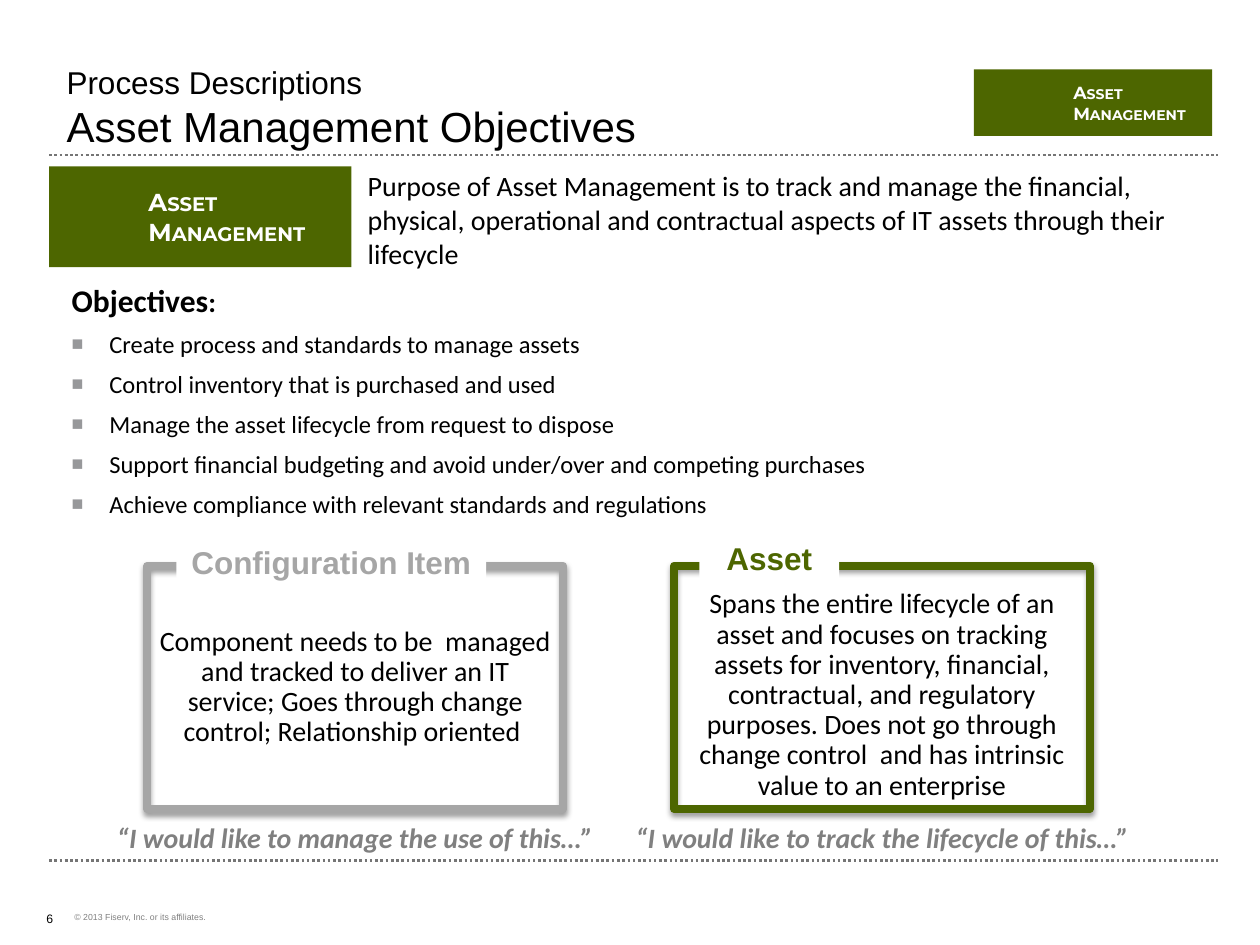
from lxml import etree
from pptx import Presentation
from pptx.dml.color import RGBColor
from pptx.enum.dml import MSO_LINE
from pptx.enum.shapes import MSO_CONNECTOR, MSO_SHAPE
from pptx.enum.text import MSO_ANCHOR, PP_ALIGN
from pptx.oxml.ns import qn
from pptx.util import Inches, Pt

GREEN, SILVER, GRAY = "4D6600", "A6A6A6", "808080"
BLACK, WHITE = "000000", "FFFFFF"
BULLET_INDENT = Inches(0.3)
DEFAULT_INSETS = (0.1, 0.05, 0.1, 0.05)

OBJECTIVES = [
    "Create process and standards to manage assets",
    "Control inventory that is purchased and used",
    "Manage the asset lifecycle from request to dispose",
    "Support financial budgeting and avoid under/over and competing purchases",
    "Achieve compliance with relevant standards and regulations",
]


def color(value):
    return RGBColor.from_string(value)


def add_run(paragraph, text, size, font="Calibri", fill=BLACK, bold=False, italic=False):
    run = paragraph.add_run()
    run.text = text
    run.font.size = Pt(size)
    run.font.name = font
    run.font.color.rgb = color(fill)
    run.font.bold = bold
    run.font.italic = italic
    return run


def set_frame(shape, anchor=MSO_ANCHOR.TOP, align=PP_ALIGN.LEFT, insets=DEFAULT_INSETS):
    """Prepare the text frame and return its first paragraph."""
    frame = shape.text_frame
    frame.word_wrap = True
    frame.vertical_anchor = anchor
    (frame.margin_left, frame.margin_top,
     frame.margin_right, frame.margin_bottom) = map(Inches, insets)
    paragraph = frame.paragraphs[0]
    paragraph.alignment = align
    return paragraph


def add_text(slide, box, **options):
    shape = slide.shapes.add_textbox(*map(Inches, box))
    return set_frame(shape, **options)


def add_rectangle(slide, box, fill=None, line=None, width=0.75):
    shape = slide.shapes.add_shape(MSO_SHAPE.RECTANGLE, *map(Inches, box))
    shape.shadow.inherit = False
    if fill:
        shape.fill.solid()
        shape.fill.fore_color.rgb = color(fill)
    else:
        shape.fill.background()
    if line:
        shape.line.color.rgb = color(line)
        shape.line.width = Pt(width)
    else:
        shape.line.fill.background()
    return shape


def add_shadow(shape):
    effects = shape._element.spPr.find(qn("a:effectLst"))
    shadow = etree.SubElement(effects, qn("a:outerShdw"), blurRad="40000",
                              dist="20000", dir="5400000", rotWithShape="0")
    tint = etree.SubElement(shadow, qn("a:srgbClr"), val=BLACK)
    etree.SubElement(tint, qn("a:alpha"), val="38000")


def add_rule(slide, y):
    rule = slide.shapes.add_connector(
        MSO_CONNECTOR.STRAIGHT, Inches(0.39), Inches(y), Inches(9.67), Inches(y))
    rule.line.color.rgb = color("757575")
    rule.line.width = Pt(1.5)
    rule.line.dash_style = MSO_LINE.ROUND_DOT
    etree.SubElement(rule._element.spPr, qn("a:effectLst"))


def add_badge(slide, box, size):
    paragraph = set_frame(add_rectangle(slide, box, fill=GREEN), MSO_ANCHOR.MIDDLE)
    paragraph._p.get_or_add_pPr().set("marL", str(Inches(0.69)))
    for index, word in enumerate(("Asset", "Management")):
        if index:
            paragraph.add_line_break()
        run = add_run(paragraph, word, size, "Montserrat", WHITE, bold=True)
        run.font._element.set("cap", "small")


def add_bullet(paragraph):
    properties = paragraph._p.get_or_add_pPr()
    properties.set("marL", str(BULLET_INDENT))
    properties.set("indent", str(-BULLET_INDENT))
    paragraph.space_before = Pt(6)
    bullet_color = etree.SubElement(properties, qn("a:buClr"))
    etree.SubElement(bullet_color, qn("a:srgbClr"), val="97989A")
    etree.SubElement(properties, qn("a:buSzPct"), val="80000")
    etree.SubElement(properties, qn("a:buFont"), typeface="Arial")
    etree.SubElement(properties, qn("a:buChar"), char="■")


def add_panel(slide, left, tone, text, top_inset, inner_line=None):
    box = (left, 4.49, 3.3, 1.93)
    frame = add_rectangle(slide, box, line=tone, width=4.5)
    etree.SubElement(frame.line._get_or_add_ln(), qn("a:round"))
    add_shadow(frame)
    body = add_rectangle(slide, box, line=inner_line)
    paragraph = set_frame(body, MSO_ANCHOR.MIDDLE, PP_ALIGN.CENTER,
                          (0.07, top_inset, 0.07, 0.07))
    paragraph.line_spacing = 0.9
    add_run(paragraph, text, 16)


def add_panel_title(slide, box, text, tone):
    label = add_rectangle(slide, box, fill=WHITE)
    paragraph = set_frame(label, MSO_ANCHOR.MIDDLE, PP_ALIGN.CENTER)
    add_run(paragraph, text, 18, "Arial", tone, bold=True)


def add_quote(slide, left, width, text):
    paragraph = add_text(slide, (left, 6.51, width, 0.27),
                         align=PP_ALIGN.CENTER, insets=(0, 0, 0, 0))
    add_run(paragraph, text, 16, fill=GRAY, bold=True, italic=True)


def add_footer(slide):
    paragraph = add_text(slide, (0.52, 7.22, 1.66, 0.14), insets=(0.07, 0.03, 0.07, 0.03))
    paragraph.line_spacing = 0.9
    add_run(paragraph, "© 2013 Fiserv, Inc. or its affiliates.", 5, "Arial", GRAY)
    add_run(add_text(slide, (0.27, 7.18, 0.59, 0.23)), "6", 7, "Arial")


def add_title(slide):
    paragraph = add_text(slide, (0.43, 0.4, 9.4, 0.9), anchor=MSO_ANCHOR.MIDDLE)
    add_run(paragraph, "Process Descriptions", 18, "Arial")
    paragraph.add_line_break()
    add_run(paragraph, "Asset Management Objectives", 24, "Arial")


def add_objectives(slide):
    shape = slide.shapes.add_textbox(*map(Inches, (0.47, 2.18, 9.46, 1.92)))
    heading = set_frame(shape)
    add_run(heading, "Objectives", 18, bold=True)
    add_run(heading, ":", 16, bold=True)
    for objective in OBJECTIVES:
        paragraph = shape.text_frame.add_paragraph()
        add_bullet(paragraph)
        add_run(paragraph, objective, 14)


def main():
    presentation = Presentation()
    presentation.slide_width = Inches(10)
    presentation.slide_height = Inches(7.5)
    slide = presentation.slides.add_slide(presentation.slide_layouts[6])

    # Page frame
    for y in (1.23, 6.83):
        add_rule(slide, y)
    add_footer(slide)
    add_title(slide)

    # Purpose and objectives
    purpose = add_text(slide, (2.82, 1.33, 6.81, 0.82), anchor=MSO_ANCHOR.MIDDLE)
    add_run(purpose, "Purpose of Asset Management is to track and manage the financial, "
            "physical, operational and contractual aspects of IT assets through "
            "their lifecycle", 16)
    add_objectives(slide)

    # Comparison panels
    add_panel(slide, 1.17, SILVER,
              "Component needs to be  managed and tracked to deliver an IT service; "
              "Goes through change control; Relationship oriented ", 0.07)
    add_panel(slide, 5.35, GREEN,
              "Spans the entire lifecycle of an asset and focuses on tracking assets "
              "for inventory, financial, contractual, and regulatory purposes. Does not "
              "go through change control  and has intrinsic value to an enterprise",
              0.2, inner_line=GREEN)
    add_panel_title(slide, (1.4, 4.28, 2.46, 0.36), "Configuration Item", SILVER)
    add_panel_title(slide, (5.55, 4.25, 1.11, 0.36), "Asset", GREEN)
    add_quote(slide, 0.86, 3.92, "“I would like to manage the use of this…”")
    add_quote(slide, 4.93, 4.15, "“I would like to track the lifecycle of this…”")

    # Process badges
    add_badge(slide, (0.39, 1.32, 2.4, 0.8), 14)
    add_badge(slide, (7.73, 0.55, 1.89, 0.53), 10)

    presentation.save("out.pptx")


if __name__ == "__main__":
    main()
